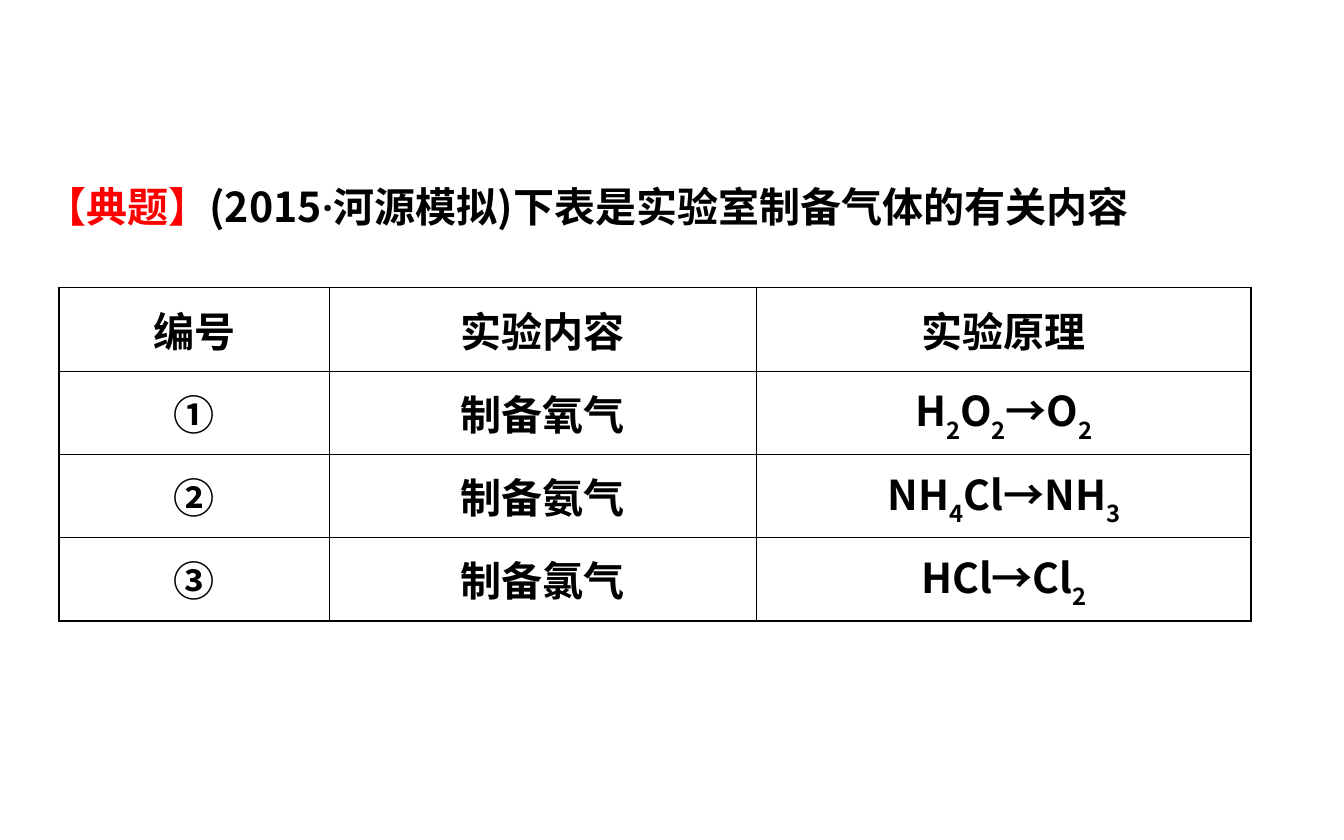
from lxml import etree
from pptx import Presentation
from pptx import util as u
from pptx.dml.color import RGBColor
from pptx.enum import text
from pptx.oxml.ns import qn

FONT = "Noto Sans CJK SC"
BLACK, RED = "000000", "FF0000"
THIN, THICK = 0.45, 0.96


def style(paragraph):
    """Give the paragraph the bold Latin and East Asian type of the slide."""
    font = paragraph.font
    font.size = u.Pt(22)
    font.bold = True
    font.color.rgb = RGBColor.from_string(BLACK)
    font.name = FONT
    defaults = paragraph._p.pPr.find(qn("a:defRPr"))
    etree.SubElement(defaults, qn("a:ea"), typeface=FONT)


def add_border(cell, side, points):
    line = etree.SubElement(cell._tc.get_or_add_tcPr(), qn(f"a:ln{side}"), w=str(u.Pt(points)))
    fill = etree.SubElement(line, qn("a:solidFill"))
    etree.SubElement(fill, qn("a:srgbClr"), val=BLACK)


deck = Presentation()
deck.slide_width, deck.slide_height = u.Inches(10), u.Inches(6.25)
page = deck.slides.add_slide(deck.slide_layouts[6])

# Question
box = page.shapes.add_textbox(u.Inches(0.24), u.Inches(1.01), u.Inches(9.43), u.Inches(0.76))
box.text_frame.word_wrap = True
box.text_frame.auto_size = text.MSO_AUTO_SIZE.SHAPE_TO_FIT_TEXT
para = box.text_frame.paragraphs[0]
para.line_spacing = 1.8
style(para)
for words, color, face in [
    ("【典题】", RED, FONT),
    ("(2015", BLACK, FONT),
    ("·", BLACK, "Roboto"),
    ("河源模拟)下表是实验室制备气体的有关内容", BLACK, FONT),
]:
    span = para.add_run()
    span.text = words
    span.font.color.rgb = RGBColor.from_string(color)
    span.font.name = face
    etree.SubElement(span._r.get_or_add_rPr(), qn("a:ea"), typeface=face)

# Table of experiments; digits in the last column are subscripts
rows = [
    ["编号", "实验内容", "实验原理"],
    ["①", "制备氧气", "H2O2→O2"],
    ["②", "制备氨气", "NH4Cl→NH3"],
    ["③", "制备氯气", "HCl→Cl2"],
]
widths = [2.01, 3.18, 3.68]
row_height = 0.62
last_row, last_column = len(rows) - 1, len(widths) - 1

frame = page.shapes.add_table(
    len(rows), len(widths), u.Inches(0.44), u.Inches(2.14),
    u.Inches(sum(widths)), u.Inches(row_height * len(rows)))
table = frame.table
table.first_row = table.horz_banding = False
for column, width in zip(table.columns, widths):
    column.width = u.Inches(width)

for r, row in enumerate(rows):
    table.rows[r].height = u.Inches(row_height)
    for c, words in enumerate(row):
        cell = table.cell(r, c)
        cell.vertical_anchor = text.MSO_ANCHOR.MIDDLE
        outer = {"L": c == 0, "R": c == last_column, "T": r == 0, "B": r == last_row}
        for side, is_outer in outer.items():
            add_border(cell, side, THICK if is_outer else THIN)
        cell.fill.background()

        para = cell.text_frame.paragraphs[0]
        para.alignment = text.PP_ALIGN.CENTER
        style(para)
        pieces = [""]
        for letter in words:
            if pieces[-1] and letter.isdecimal() != pieces[-1].isdecimal():
                pieces.append("")
            pieces[-1] += letter
        for piece in pieces:
            span = para.add_run()
            span.text = piece
            if piece.isdecimal():
                span._r.get_or_add_rPr().set("baseline", "-30000")

deck.save("out.pptx")
